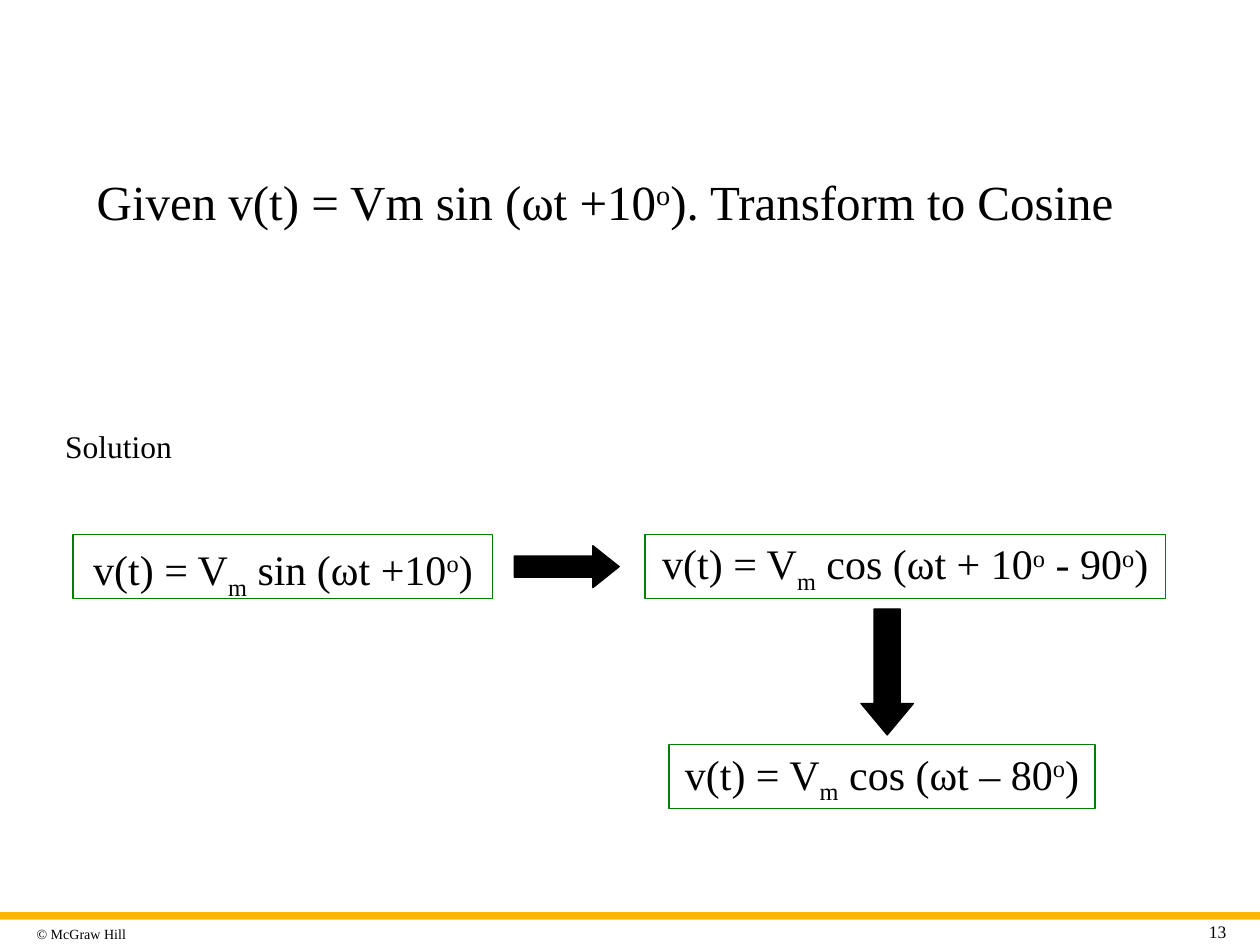
from pptx import Presentation
from pptx import util as u
from pptx.dml.color import RGBColor
from pptx.enum import shapes, text

BASELINES = {"_": "-25000", "^": "30000"}


def colour(value):
    return RGBColor.from_string(value)


def write(frame, content, size=18, font="Times New Roman", ink="000000",
          align=text.PP_ALIGN.LEFT, anchor=text.MSO_ANCHOR.TOP,
          wrap=True, margins=(7.2, 3.6, 7.2, 3.6)):
    frame.word_wrap = wrap
    frame.vertical_anchor = anchor
    sides = ("margin_left", "margin_top", "margin_right", "margin_bottom")
    for side, margin in zip(sides, margins):
        setattr(frame, side, u.Pt(margin))
    paragraph = frame.paragraphs[0]
    paragraph.alignment = align
    for piece in content.split("|"):
        baseline = BASELINES.get(piece[0])
        run = paragraph.add_run()
        run.text = piece[1:] if baseline else piece
        run.font.size = u.Pt(size)
        run.font.name = font
        run.font.color.rgb = colour(ink)
        if baseline:
            run._r.get_or_add_rPr().set("baseline", baseline)


class SlideBuilder:
    black = "000000"
    green = "008000"
    gold = "FFB600"
    line_width = 0.75

    def __init__(self, slide):
        self.slide = slide

    def shape(self, kind, place, fill=None, line=None):
        shape = self.slide.shapes.add_shape(kind, *map(u.Pt, place))
        shape.shadow.inherit = False
        if fill:
            shape.fill.solid()
            shape.fill.fore_color.rgb = colour(fill)
        else:
            shape.fill.background()
        if line:
            shape.line.color.rgb = colour(line)
            shape.line.width = u.Pt(self.line_width)
        else:
            shape.line.fill.background()
        return shape

    def bar(self, place):
        self.shape(shapes.MSO_SHAPE.RECTANGLE, place, fill=self.gold)

    def label(self, content, place, **style):
        box = self.slide.shapes.add_textbox(*map(u.Pt, place))
        write(box.text_frame, content, **style)

    def equation(self, content, place, **style):
        box = self.shape(shapes.MSO_SHAPE.RECTANGLE, place, line=self.green)
        style = {"anchor": text.MSO_ANCHOR.MIDDLE, **style}
        write(box.text_frame, content, size=24, wrap=False,
              align=text.PP_ALIGN.CENTER, **style)

    def arrow(self, kind, place, head):
        arrow = self.shape(kind, place, fill=self.black, line=self.black)
        arrow.adjustments[0] = 0.5
        arrow.adjustments[1] = head


def main():
    presentation = Presentation()
    presentation.slide_width = u.Pt(720)
    presentation.slide_height = u.Pt(540)
    blank = presentation.slide_layouts[6]
    builder = SlideBuilder(presentation.slides.add_slide(blank))

    builder.bar((0, 521.3, 720, 4.3))
    builder.label("© McGraw Hill", (17.3, 524.9, 97.2, 17.3), size=8,
                  anchor=text.MSO_ANCHOR.MIDDLE, margins=(3.6,) * 4)
    builder.label("13", (679.7, 522.7, 28.1, 19.4), size=10,
                  align=text.PP_ALIGN.RIGHT)
    builder.label("Given v(t) = Vm sin (ωt +10|^o|). Transform to Cosine",
                  (48.2, 94.3, 624.2, 41), size=28)
    builder.label("Solution", (30.2, 240.5, 108, 28.8))

    builder.equation("v(t) = V|_m| sin (ωt +10|^o|)",
                     (41.8, 305.3, 239.8, 36.7),
                     anchor=text.MSO_ANCHOR.TOP, margins=(7.2, 5.3, 7.2, 3.6))
    builder.equation("v(t) = V|_m| cos (ωt + 10|^o| - 90|^o|)",
                     (368.6, 305.3, 297.4, 36.7))
    builder.equation("v(t) = V|_m| cos (ωt – 80|^o|)",
                     (382.3, 425.5, 243.4, 36.7))
    builder.arrow(shapes.MSO_SHAPE.RIGHT_ARROW, (293.8, 311.8, 60, 24), 0.625)
    builder.arrow(shapes.MSO_SHAPE.DOWN_ARROW, (492, 348, 30, 72), 0.6)

    presentation.save("out.pptx")


if __name__ == "__main__":
    main()
